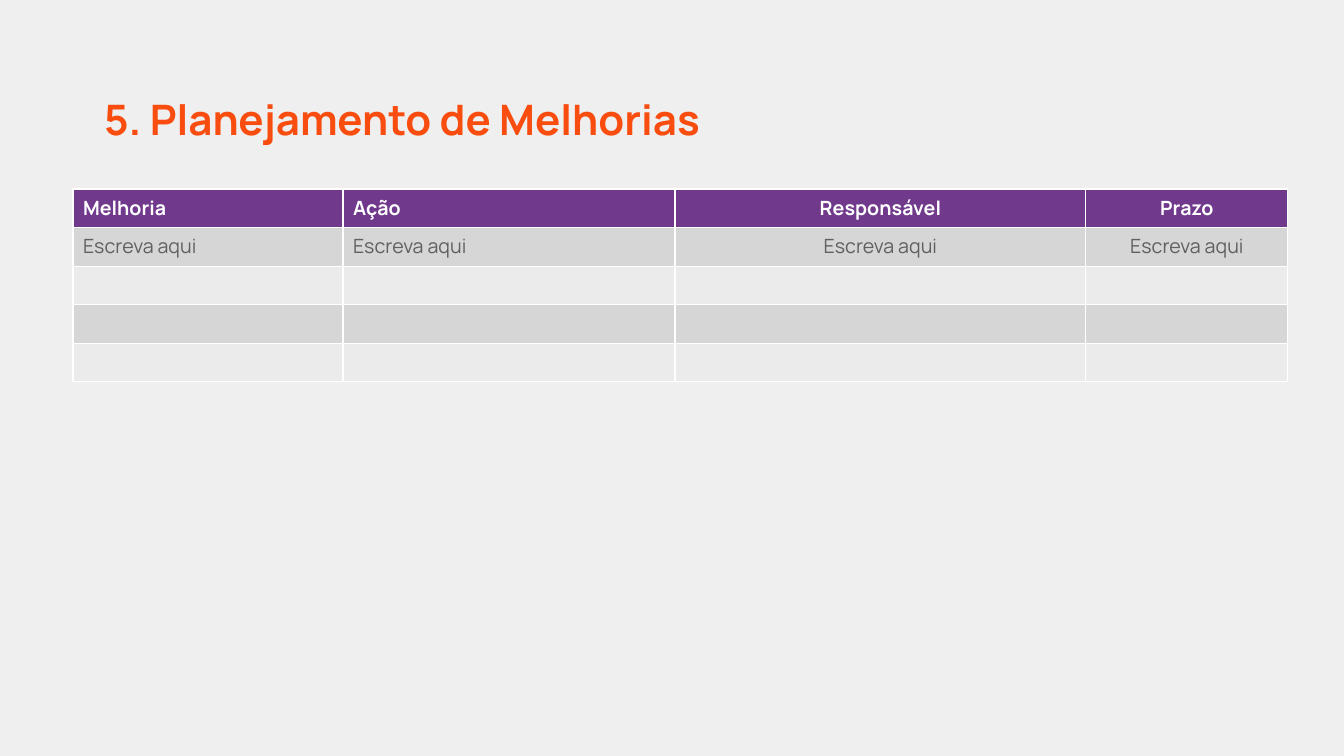
"""Builds the improvement planning slide with its action table."""
from dataclasses import dataclass

from pptx import Presentation
from pptx.dml.color import RGBColor as Rgb
from pptx.enum.text import MSO_ANCHOR as Anchor, MSO_AUTO_SIZE as AutoSize, PP_ALIGN as Align
from pptx.util import Emu, Pt


@dataclass(frozen=True)
class Theme:
    font: str = "Manrope"
    title_size: int = 30
    table_size: int = 14
    background: str = "EFEFEF"
    title: str = "F84D0F"
    header: str = "70398C"
    header_text: str = "FFFFFF"
    body_text: str = "606060"
    bands: tuple = ("D6D6D6", "EBEBEB")


def px(length):
    return Emu(round(length * 914400 / 100.8))


def style(paragraph, size, color, bold, align):
    paragraph.alignment = align
    paragraph.font.name = theme.font
    paragraph.font.size = Pt(size)
    paragraph.font.bold = bold
    paragraph.font.color.rgb = Rgb.from_string(color)


theme = Theme()
deck = Presentation()
deck.slide_width, deck.slide_height = px(1344), px(756)
slide = deck.slides.add_slide(deck.slide_layouts[5])
slide.background.fill.solid()
slide.background.fill.fore_color.rgb = Rgb.from_string(theme.background)

title = slide.shapes.title
title.left, title.top, title.width, title.height = px(94), px(88), px(1019), px(61)
title.text_frame.text = "5. Planejamento de Melhorias"
title.text_frame.vertical_anchor = Anchor.TOP
title.text_frame.auto_size = AutoSize.SHAPE_TO_FIT_TEXT
style(title.text_frame.paragraphs[0], theme.title_size, theme.title, True, Align.LEFT)

columns = [
    ("Melhoria", 270, Align.LEFT),
    ("Ação", 332, Align.LEFT),
    ("Responsável", 411, Align.CENTER),
    ("Prazo", 202, Align.CENTER),
]
row_count = 5
plan = slide.shapes.add_table(row_count, len(columns), px(73), px(189), px(1215), px(193)).table
plan.first_row = plan.horz_banding = False

for column, (heading, width, align) in enumerate(columns):
    plan.columns[column].width = px(width)
    entries = [heading, "Escreva aqui"] + [""] * (row_count - 2)
    for row, entry in enumerate(entries):
        is_header = row == 0
        cell = plan.cell(row, column)
        cell.fill.solid()
        cell.fill.fore_color.rgb = Rgb.from_string(
            theme.header if is_header else theme.bands[(row - 1) % 2])
        cell.text = entry
        paragraph = cell.text_frame.paragraphs[0]
        style(paragraph, theme.table_size,
              theme.header_text if is_header else theme.body_text, is_header, align)
        if not entry:
            paragraph._p.get_or_add_endParaRPr().set("sz", str(theme.table_size * 100))

deck.save("out.pptx")
